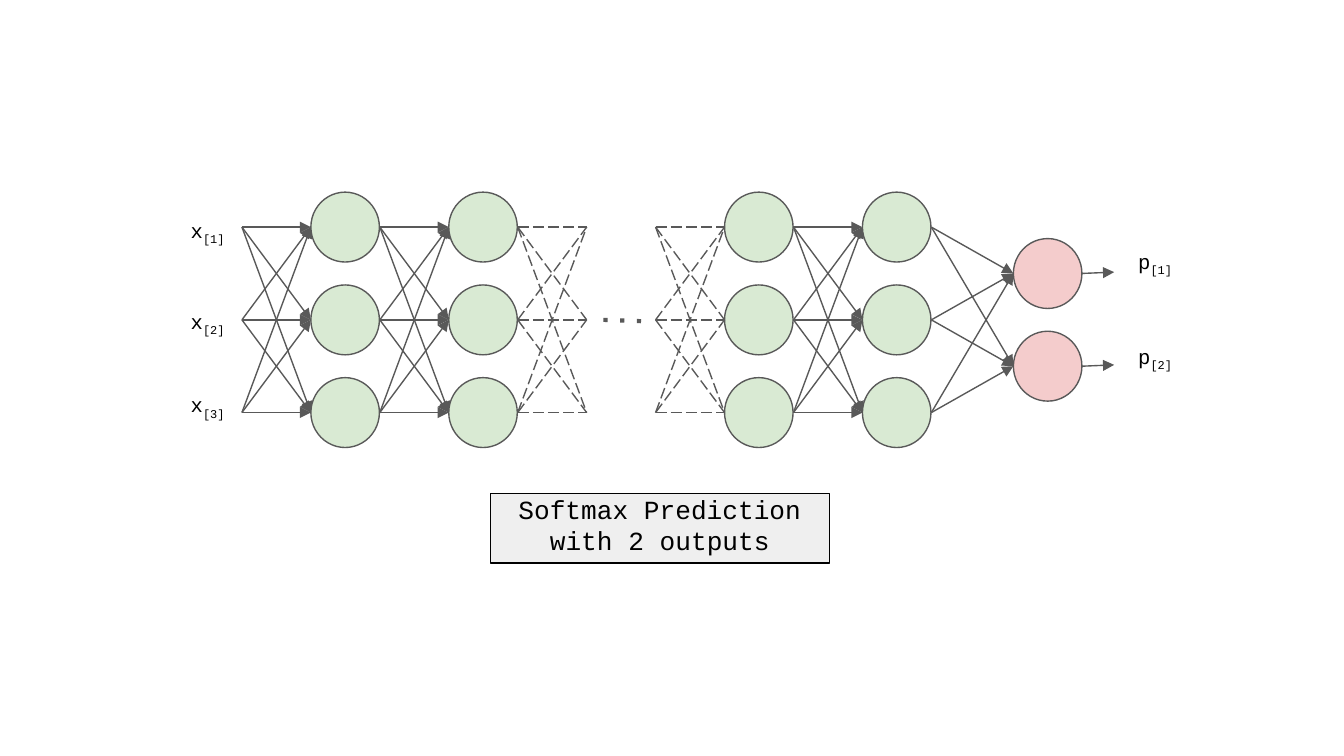
from lxml.etree import SubElement
from pptx import Presentation
from pptx.dml.color import RGBColor
from pptx.enum.shapes import MSO_CONNECTOR, MSO_SHAPE
from pptx.enum.text import MSO_ANCHOR, PP_ALIGN
from pptx.oxml.ns import qn
from pptx.util import Inches, Pt

rgb = RGBColor.from_string
GRAY, GREEN, PINK = "595959", "D9EAD3", "F4CCCC"

prs = Presentation()
prs.slide_width = Inches(10)
prs.slide_height = prs.slide_width * 9 // 16
slide = prs.slides.add_slide(prs.slide_layouts[6])
shapes = slide.shapes

# Columns are one node wide: a node fills every second one, links fill the rest.
NODE_W, NODE_H = 0.51, 0.52
xs = [1.8 + 0.513 * i for i in range(11)]
ys = [1.69 + 0.69 * i for i in range(3)]
out_x = 7.54
out_ys = [(a + b) / 2 for a, b in zip(ys, ys[1:])]


def connect(x1, y1, x2, y2, dash=None, arrow=True, width=0.75):
    s = shapes.add_connector(MSO_CONNECTOR.STRAIGHT, *map(Inches, (x1, y1, x2, y2)))
    s.line.color.rgb = rgb(GRAY)
    s.line.width = Pt(width)
    spPr = s._element.spPr
    ln = spPr.find(qn("a:ln"))
    if dash:
        SubElement(ln, qn("a:prstDash")).set("val", dash)
    if arrow:
        SubElement(ln, qn("a:tailEnd")).set("type", "triangle")
    SubElement(spPr, qn("a:effectLst"))


def write(s, text, sub="", size=11, align=PP_ALIGN.LEFT):
    """Fill a shape with text, followed by an optional subscript."""
    tf = s.text_frame
    tf.word_wrap = True
    tf.vertical_anchor = MSO_ANCHOR.TOP
    tf.margin_left = tf.margin_right = Inches(0.1)
    tf.margin_top = tf.margin_bottom = 0
    p = tf.paragraphs[0]
    p.alignment = align
    for part, base in ((text, None), (sub, "-25000")):
        if part:
            r = p.add_run()
            r.text = part
            r.font.name, r.font.size = "Courier New", Pt(size)
            r.font.color.rgb = rgb("000000")
            if base:
                r.font._element.set("baseline", base)


# Hidden layers and output layer
nodes = [(xs[col], y, GREEN) for col in (1, 3, 7, 9) for y in ys]
nodes += [(out_x, y, PINK) for y in out_ys]
for x, y, fill in nodes:
    s = shapes.add_shape(MSO_SHAPE.OVAL, Inches(x), Inches(y - NODE_H / 2),
                         Inches(NODE_W), Inches(NODE_H))
    s.shadow.inherit = False
    s.fill.solid()
    s.fill.fore_color.rgb = rgb(fill)
    s.line.color.rgb = rgb(GRAY)
    s.line.width = Pt(0.75)

# Fully connected links; dashed ones lead to and from the left-out layers
for col in (0, 2, 4, 6, 8):
    dashed = col in (4, 6)
    for y1 in ys:
        for y2 in ys:
            connect(xs[col], y1, xs[col + 1], y2,
                    dash="lgDash" if dashed else None, arrow=not dashed)
for y2 in out_ys:
    for y1 in ys:
        connect(xs[10], y1, out_x, y2)
    connect(out_x + NODE_W, y2, out_x + NODE_W + 0.24, y2 - 0.01)
connect(4.49, ys[1], 4.77, ys[1] + 0.01, dash="dot", arrow=False, width=2.25)

# Input and output labels
for name, x, tops in (("x", 1.32, (1.62, 2.3, 2.92)), ("p", 8.37, (1.85, 2.56))):
    for i, top in enumerate(tops, 1):
        s = shapes.add_textbox(Inches(x), Inches(top), Inches(NODE_W), Inches(0.31))
        write(s, name, sub=f"[{i}]")

# Caption
s = shapes.add_shape(MSO_SHAPE.RECTANGLE, Inches(3.65), Inches(3.67),
                     Inches(2.52), Inches(0.52))
s.shadow.inherit = False
s.fill.solid()
s.fill.fore_color.rgb = rgb("EFEFEF")
s.line.color.rgb = rgb("000000")
s.line.width = Pt(0.75)
write(s, "Softmax Prediction with 2 outputs", size=14, align=PP_ALIGN.CENTER)

prs.save("out.pptx")
